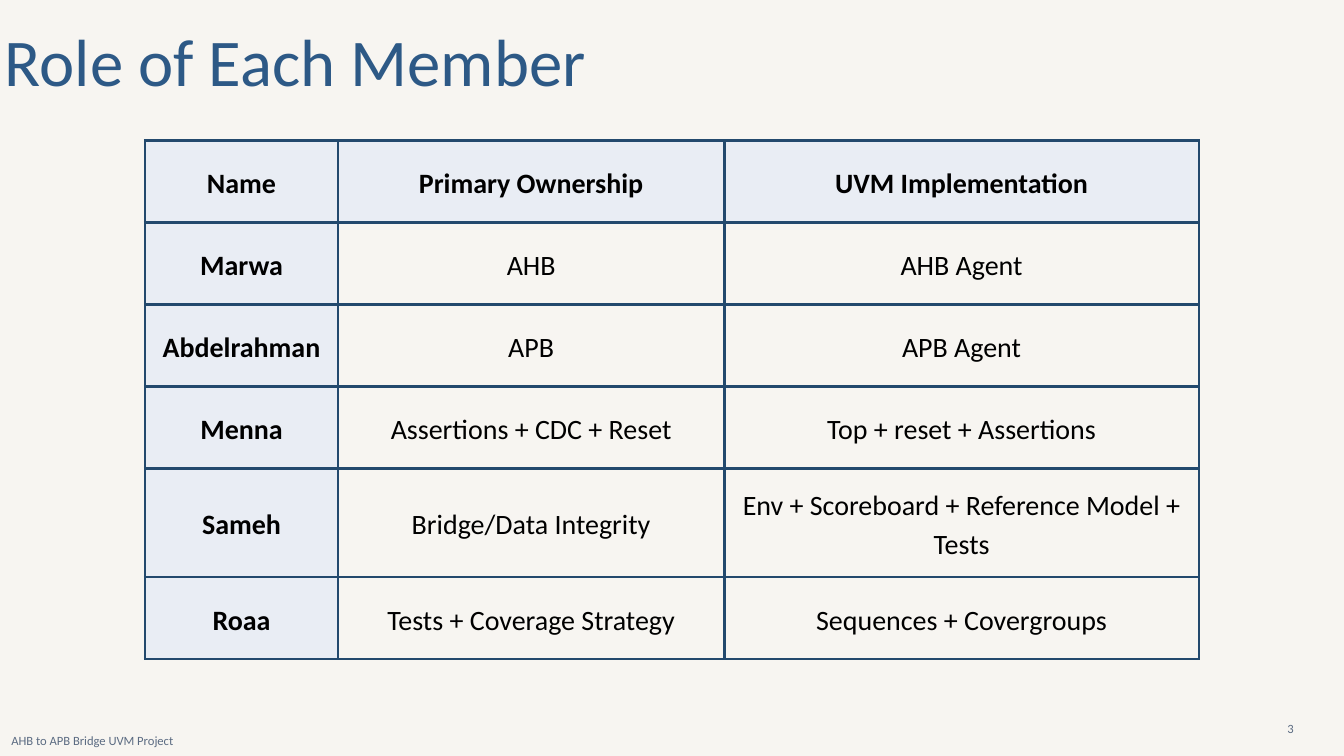
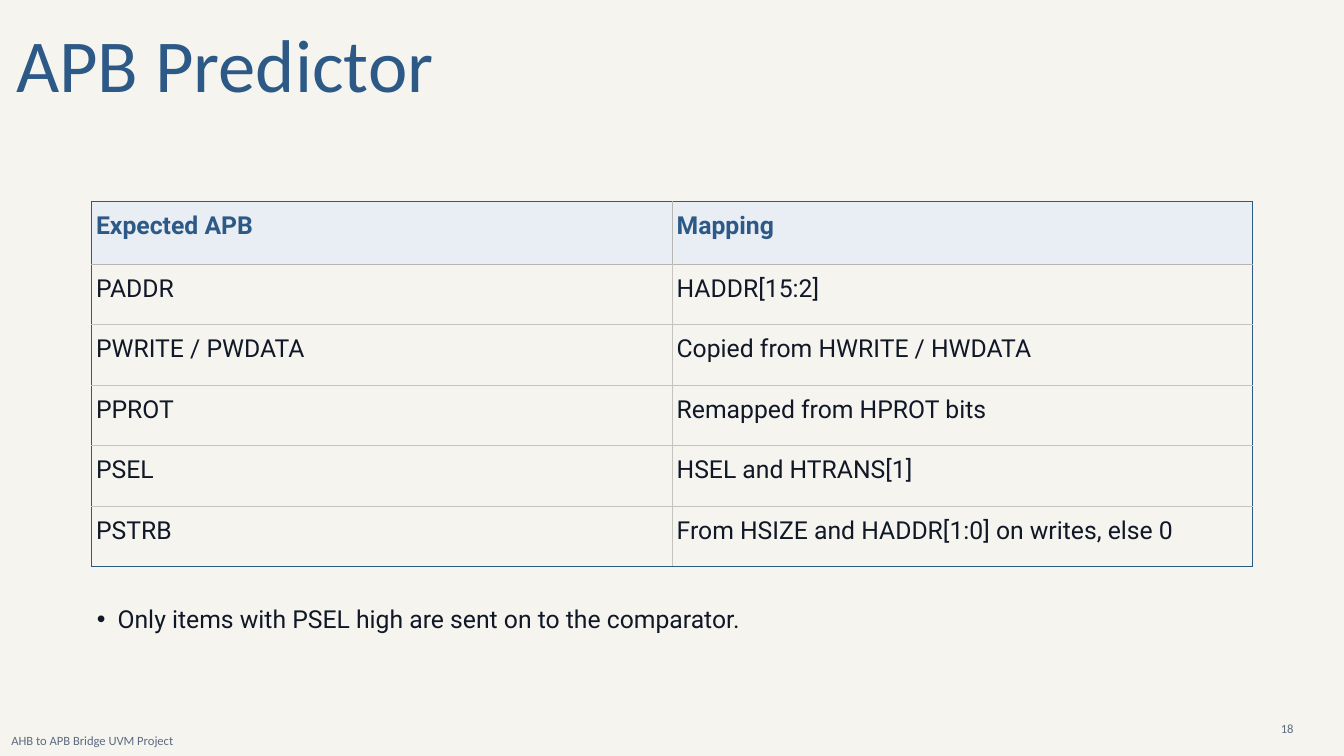
"""Build two slides of the AHB to APB bridge project deck: member roles and APB predictor."""

from dataclasses import dataclass

from lxml.etree import SubElement
from pptx import Presentation
from pptx.dml.color import RGBColor
from pptx.enum.text import MSO_ANCHOR, MSO_AUTO_SIZE, PP_ALIGN
from pptx.oxml.ns import qn
from pptx.slide import Slide
from pptx.table import Table, _Cell
from pptx.text.text import TextFrame, _Paragraph
from pptx.util import Inches, Length, Pt


@dataclass(frozen=True)
class Theme:
    accent: str = "2D5986"
    black: str = "000000"
    ink: str = "101828"
    muted: str = "5B6B82"
    header_fill: str = "E9EDF4"
    role_border: str = "23496D"
    header_border: str = "B6B5B0"
    grid_border: str = "C4C3BE"
    heading_font: str = "Calibri"
    body_font: str = "Roboto"
    role_title_size: float = 71.5
    predictor_title_size: float = 80
    role_size: float = 30
    predictor_size: float = 26.5
    footer_size: float = 13.5
    body_leading: float = 1.4
    footer_leading: float = 1.2


THEME = Theme()
FOOTER_TEXT = "AHB to APB Bridge UVM Project"


@dataclass(frozen=True)
class Box:
    left: float
    top: float
    width: float
    height: float

    def lengths(self) -> tuple[Length, ...]:
        return tuple(Inches(value) for value in (self.left, self.top, self.width, self.height))


@dataclass(frozen=True)
class TextStyle:
    size: float
    color: str
    font: str = THEME.heading_font
    bold: bool = False
    leading: float = THEME.body_leading
    align: PP_ALIGN = PP_ALIGN.LEFT


@dataclass(frozen=True)
class TableDesign:
    left: float
    top: float
    column_widths: list[float]
    row_heights: list[float]
    header_style: TextStyle
    body_style: TextStyle
    outer_border: str
    header_border: str
    inner_border: str
    border_width: float
    margin: float
    anchor: MSO_ANCHOR
    header_column: bool = False


@dataclass(frozen=True)
class SlideFrame:
    title: str
    title_box: Box
    title_size: float
    background: str
    number: str


FOOTER_BOX = Box(0.17, 10.79, 12, 0.47)
NUMBER_BOX = Box(18.5, 10.6, 0.75, 0.47)
FOOTER_STYLE = TextStyle(THEME.footer_size, THEME.muted, leading=THEME.footer_leading)
NUMBER_STYLE = TextStyle(
    THEME.footer_size, THEME.muted, leading=THEME.footer_leading, align=PP_ALIGN.RIGHT
)
NOTE_STYLE = TextStyle(THEME.predictor_size, THEME.ink, THEME.body_font)

ROLE_FRAME = SlideFrame(
    "Role of Each Member", Box(0.07, 0.1, 17.16, 1.34), THEME.role_title_size, "F7F5F1", "3"
)
ROLE_ROWS = [
    ("Name", "Primary Ownership", "UVM Implementation"),
    ("Marwa", "AHB", "AHB Agent"),
    ("Abdelrahman", "APB", "APB Agent"),
    ("Menna", "Assertions + CDC + Reset", "Top + reset + Assertions"),
    ("Sameh", "Bridge/Data Integrity", "Env + Scoreboard + Reference Model + Tests"),
    ("Roaa", "Tests + Coverage Strategy", "Sequences + Covergroups"),
]
ROLE_DESIGN = TableDesign(
    left=2.16,
    top=2.09,
    column_widths=[2.87, 5.75, 7.06],
    row_heights=[1.22] * 4 + [1.62, 1.22],
    header_style=TextStyle(THEME.role_size, THEME.black, bold=True, align=PP_ALIGN.CENTER),
    body_style=TextStyle(THEME.role_size, THEME.black, align=PP_ALIGN.CENTER),
    outer_border=THEME.role_border,
    header_border=THEME.role_border,
    inner_border=THEME.role_border,
    border_width=3,
    margin=0.11,
    anchor=MSO_ANCHOR.MIDDLE,
    header_column=True,
)

PREDICTOR_FRAME = SlideFrame(
    "APB Predictor", Box(0.24, 0.04, 13.03, 1.5), THEME.predictor_title_size, "F6F4EE", "18"
)
PREDICTOR_ROWS = [
    ("Expected APB", "Mapping"),
    ("PADDR", "HADDR[15:2]"),
    ("PWRITE / PWDATA", "Copied from HWRITE / HWDATA"),
    ("PPROT", "Remapped from HPROT bits"),
    ("PSEL", "HSEL and HTRANS[1]"),
    ("PSTRB", "From HSIZE and HADDR[1:0] on writes, else 0"),
]
PREDICTOR_DESIGN = TableDesign(
    left=1.36,
    top=2.99,
    column_widths=[8.64] * 2,
    row_heights=[0.94] + [0.9] * 5,
    header_style=TextStyle(THEME.predictor_size, THEME.accent, THEME.body_font, bold=True),
    body_style=NOTE_STYLE,
    outer_border=THEME.accent,
    header_border=THEME.header_border,
    inner_border=THEME.grid_border,
    border_width=1,
    margin=0.07,
    anchor=MSO_ANCHOR.TOP,
)
PREDICTOR_NOTE = "Only items with PSEL high are sent on to the comparator."
NOTE_BOX = Box(1.12, 8.91, 17.85, 0.5)


def format_paragraph(paragraph: _Paragraph, style: TextStyle) -> None:
    paragraph.alignment = style.align
    paragraph.line_spacing = Pt(round(style.size * style.leading, 1))
    for run in paragraph.runs:
        run.font.name = style.font
        run.font.size = Pt(style.size)
        run.font.bold = style.bold
        run.font.color.rgb = RGBColor.from_string(style.color)


def fill_frame(text_frame: TextFrame, text: str, style: TextStyle, anchor: MSO_ANCHOR) -> None:
    text_frame.text = text
    text_frame.word_wrap = True
    text_frame.vertical_anchor = anchor
    text_frame.margin_left = text_frame.margin_right = 0
    text_frame.margin_top = text_frame.margin_bottom = 0
    format_paragraph(text_frame.paragraphs[0], style)


def add_text(
    slide: Slide, box: Box, text: str, style: TextStyle, anchor: MSO_ANCHOR = MSO_ANCHOR.MIDDLE
) -> TextFrame:
    text_frame = slide.shapes.add_textbox(*box.lengths()).text_frame
    fill_frame(text_frame, text, style, anchor)
    return text_frame


def add_bullet(paragraph: _Paragraph, margin: float, indent: float) -> None:
    properties = paragraph._p.get_or_add_pPr()
    properties.set("marL", str(Inches(margin)))
    properties.set("indent", str(Inches(indent)))
    SubElement(properties, qn("a:buFont"), typeface="Arial")
    SubElement(properties, qn("a:buChar"), char="•")


def border_colors(design: TableDesign, row: int, column: int) -> dict[str, str]:
    last_row = len(design.row_heights) - 1
    last_column = len(design.column_widths) - 1
    inner = design.header_border if row == 0 else design.inner_border
    above = design.header_border if row == 1 else inner
    return {
        "a:lnL": design.outer_border if column == 0 else inner,
        "a:lnR": design.outer_border if column == last_column else inner,
        "a:lnT": design.outer_border if row == 0 else above,
        "a:lnB": design.outer_border if row == last_row else inner,
    }


def set_borders(cell: _Cell, colors: dict[str, str], width: float) -> None:
    properties = cell._tc.get_or_add_tcPr()
    for tag, color in colors.items():
        line = SubElement(properties, qn(tag), w=str(Pt(width)))
        solid_fill = SubElement(line, qn("a:solidFill"))
        SubElement(solid_fill, qn("a:srgbClr"), val=color)


def format_cell(cell: _Cell, text: str, design: TableDesign, row: int, column: int) -> None:
    is_header = row == 0 or (design.header_column and column == 0)
    cell.text_frame.text = text
    cell.vertical_anchor = design.anchor
    cell.margin_left = cell.margin_right = Inches(design.margin)
    cell.margin_top = cell.margin_bottom = Inches(design.margin)
    style = design.header_style if is_header else design.body_style
    format_paragraph(cell.text_frame.paragraphs[0], style)
    set_borders(cell, border_colors(design, row, column), design.border_width)
    if is_header:
        cell.fill.solid()
        cell.fill.fore_color.rgb = RGBColor.from_string(THEME.header_fill)
    else:
        cell.fill.background()


def add_grid(slide: Slide, design: TableDesign, rows: list[tuple[str, ...]]) -> Table:
    box = Box(design.left, design.top, sum(design.column_widths), sum(design.row_heights))
    table = slide.shapes.add_table(
        len(rows), len(design.column_widths), *box.lengths()
    ).table
    table.horz_banding = False
    for column, width in zip(table.columns, design.column_widths):
        column.width = Inches(width)
    for row, height in zip(table.rows, design.row_heights):
        row.height = Inches(height)
    for row_index, texts in enumerate(rows):
        for column_index, text in enumerate(texts):
            cell = table.cell(row_index, column_index)
            format_cell(cell, text, design, row_index, column_index)
    return table


def add_framed_slide(presentation: Presentation, frame: SlideFrame) -> Slide:
    slide = presentation.slides.add_slide(presentation.slide_layouts[5])
    slide.background.fill.solid()
    slide.background.fill.fore_color.rgb = RGBColor.from_string(frame.background)
    title = slide.shapes.title
    title.left, title.top, title.width, title.height = frame.title_box.lengths()
    title_style = TextStyle(frame.title_size, THEME.accent)
    fill_frame(title.text_frame, frame.title, title_style, MSO_ANCHOR.TOP)
    title.text_frame.auto_size = MSO_AUTO_SIZE.SHAPE_TO_FIT_TEXT
    add_text(slide, FOOTER_BOX, FOOTER_TEXT, FOOTER_STYLE)
    add_text(slide, NUMBER_BOX, frame.number, NUMBER_STYLE)
    return slide


def main() -> None:
    presentation = Presentation()
    presentation.slide_width = Inches(20)
    presentation.slide_height = Inches(11.25)

    role_slide = add_framed_slide(presentation, ROLE_FRAME)
    add_grid(role_slide, ROLE_DESIGN, ROLE_ROWS)

    predictor_slide = add_framed_slide(presentation, PREDICTOR_FRAME)
    add_grid(predictor_slide, PREDICTOR_DESIGN, PREDICTOR_ROWS)
    note = add_text(predictor_slide, NOTE_BOX, PREDICTOR_NOTE, NOTE_STYLE, MSO_ANCHOR.TOP)
    note.auto_size = MSO_AUTO_SIZE.SHAPE_TO_FIT_TEXT
    add_bullet(note.paragraphs[0], 0.63, -0.31)

    presentation.save("out.pptx")


if __name__ == "__main__":
    main()
